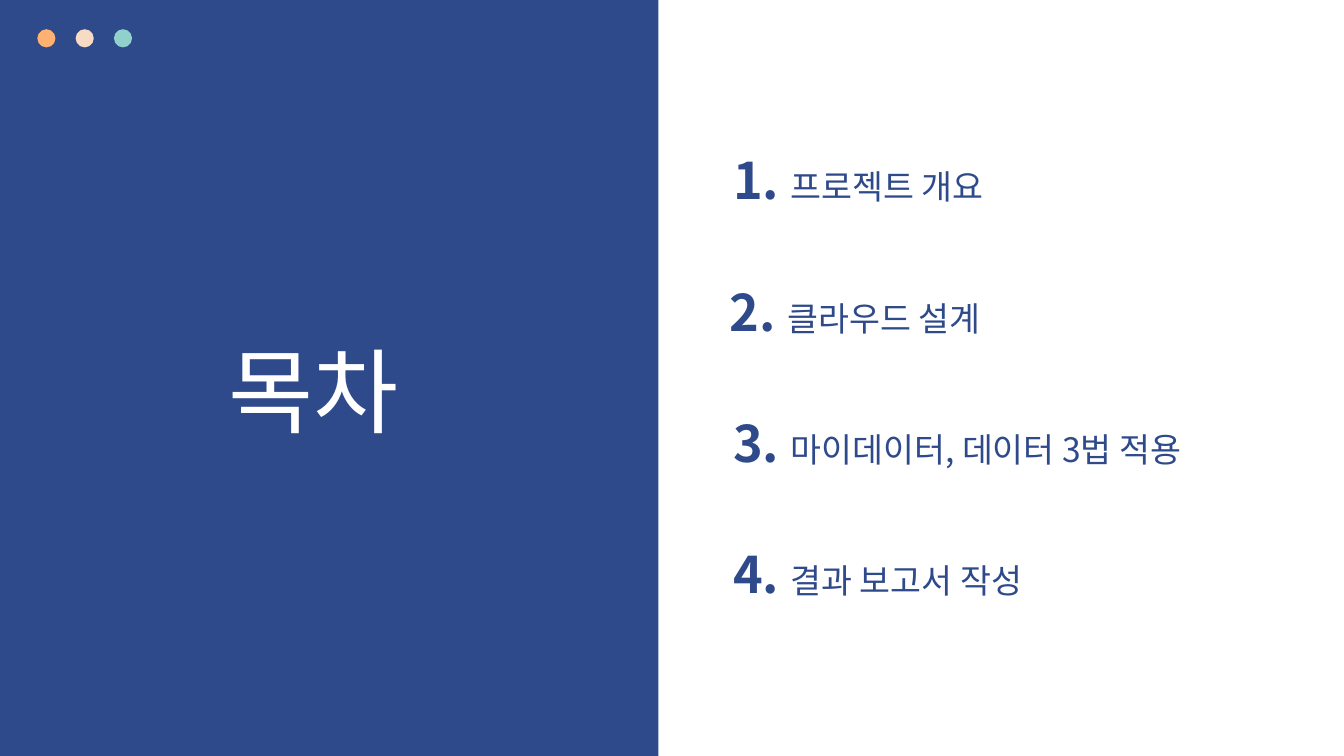
from dataclasses import dataclass

from lxml.etree import SubElement
from pptx import Presentation
from pptx.dml.color import RGBColor
from pptx.enum.shapes import MSO_SHAPE
from pptx.enum.text import MSO_ANCHOR, MSO_AUTO_SIZE, PP_ALIGN
from pptx.oxml.ns import qn
from pptx.util import Inches, Pt


@dataclass(frozen=True)
class Theme:
    font: str = "Noto Sans CJK KR"
    navy: str = "2F4A8A"
    white: str = "FFFFFF"
    dots: tuple = ("FFB172", "F8DBC4", "90D1CB")
    title_size: int = 66
    number_size: int = 36
    topic_size: int = 24


def apply_format(target, values):
    for name, value in values.items():
        setattr(target, name, value)


class ContentsSlide:
    def __init__(self, slide, theme):
        self.slide = slide
        self.theme = theme

    def add_run(self, paragraph, text, size, color, bold=False):
        run = paragraph.add_run()
        run.text = text
        apply_format(run.font, {"name": self.theme.font, "size": Pt(size), "bold": bold})
        run.font.color.rgb = RGBColor.from_string(color)
        # Korean glyphs take the East Asian typeface
        SubElement(run.font._element, qn("a:ea"), typeface=self.theme.font)

    def add_filled(self, kind, left, top, width, height, color):
        shape = self.slide.shapes.add_shape(
            kind, Inches(left), Inches(top), Inches(width), Inches(height))
        shape.shadow.inherit = False
        shape.fill.solid()
        shape.fill.fore_color.rgb = RGBColor.from_string(color)
        shape.line.fill.background()
        return shape

    def add_panel(self, width, height):
        panel = self.add_filled(MSO_SHAPE.RECTANGLE, 0, 0, width, height, self.theme.navy)
        # The title placeholder stays in front of the panel
        self.slide.shapes._spTree.insert(2, panel._element)

    def add_dots(self, left, top, size, step):
        for index, color in enumerate(self.theme.dots):
            self.add_filled(MSO_SHAPE.OVAL, left + index * step, top, size, size, color)

    def set_title(self, text, left, top, width, height):
        title = self.slide.shapes.title
        apply_format(title, {"left": Inches(left), "top": Inches(top),
                             "width": Inches(width), "height": Inches(height)})
        apply_format(title.text_frame, {"word_wrap": True,
                                        "vertical_anchor": MSO_ANCHOR.MIDDLE,
                                        "auto_size": MSO_AUTO_SIZE.SHAPE_TO_FIT_TEXT})
        paragraph = title.text_frame.paragraphs[0]
        apply_format(paragraph, {"alignment": PP_ALIGN.LEFT, "line_spacing": 1.0})
        self.add_run(paragraph, text, self.theme.title_size, self.theme.white)

    def add_entry(self, number, topic, left, top, width, height):
        entry = self.slide.shapes.add_textbox(
            Inches(left), Inches(top), Inches(width), Inches(height))
        frame = entry.text_frame
        inset = Inches(0.13)
        apply_format(frame, {"word_wrap": True, "vertical_anchor": MSO_ANCHOR.TOP,
                             "margin_left": inset, "margin_right": inset,
                             "margin_top": inset, "margin_bottom": inset})
        paragraph = frame.paragraphs[0]
        paragraph.line_spacing = 0.9
        self.add_run(paragraph, f"{number}. ", self.theme.number_size, self.theme.navy, True)
        self.add_run(paragraph, topic, self.theme.topic_size, self.theme.navy)


def main():
    presentation = Presentation()
    presentation.slide_width = Inches(13.33)
    presentation.slide_height = Inches(7.5)
    contents = ContentsSlide(
        presentation.slides.add_slide(presentation.slide_layouts[5]), Theme())

    contents.add_panel(6.53, 7.5)
    contents.add_dots(left=0.37, top=0.29, size=0.18, step=0.38)
    contents.set_title("목차", 2.17, 3.26, 2.56, 1.21)

    entries = (
        ("프로젝트 개요", 7.14, 4.91),
        ("클라우드 설계", 7.11, 5.02),
        ("마이데이터, 데이터 3법 적용", 7.14, 5.45),
        ("결과 보고서 작성", 7.14, 4.91),
    )
    first_top, last_top = 1.42, 5.33
    step = (last_top - first_top) / (len(entries) - 1)
    for index, (topic, left, width) in enumerate(entries):
        contents.add_entry(index + 1, topic, left, first_top + index * step, width, 0.68)

    presentation.save("out.pptx")


if __name__ == "__main__":
    main()
